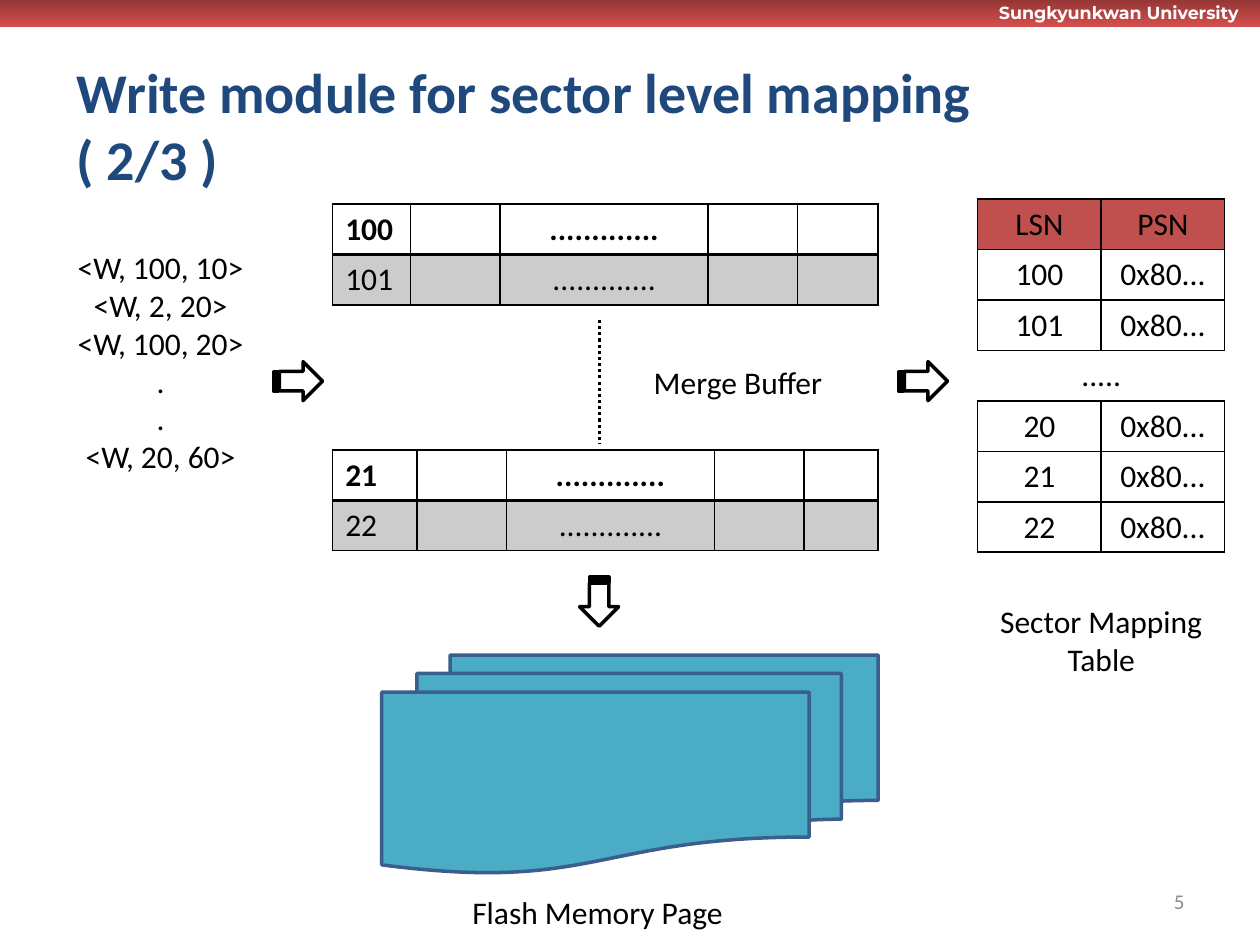
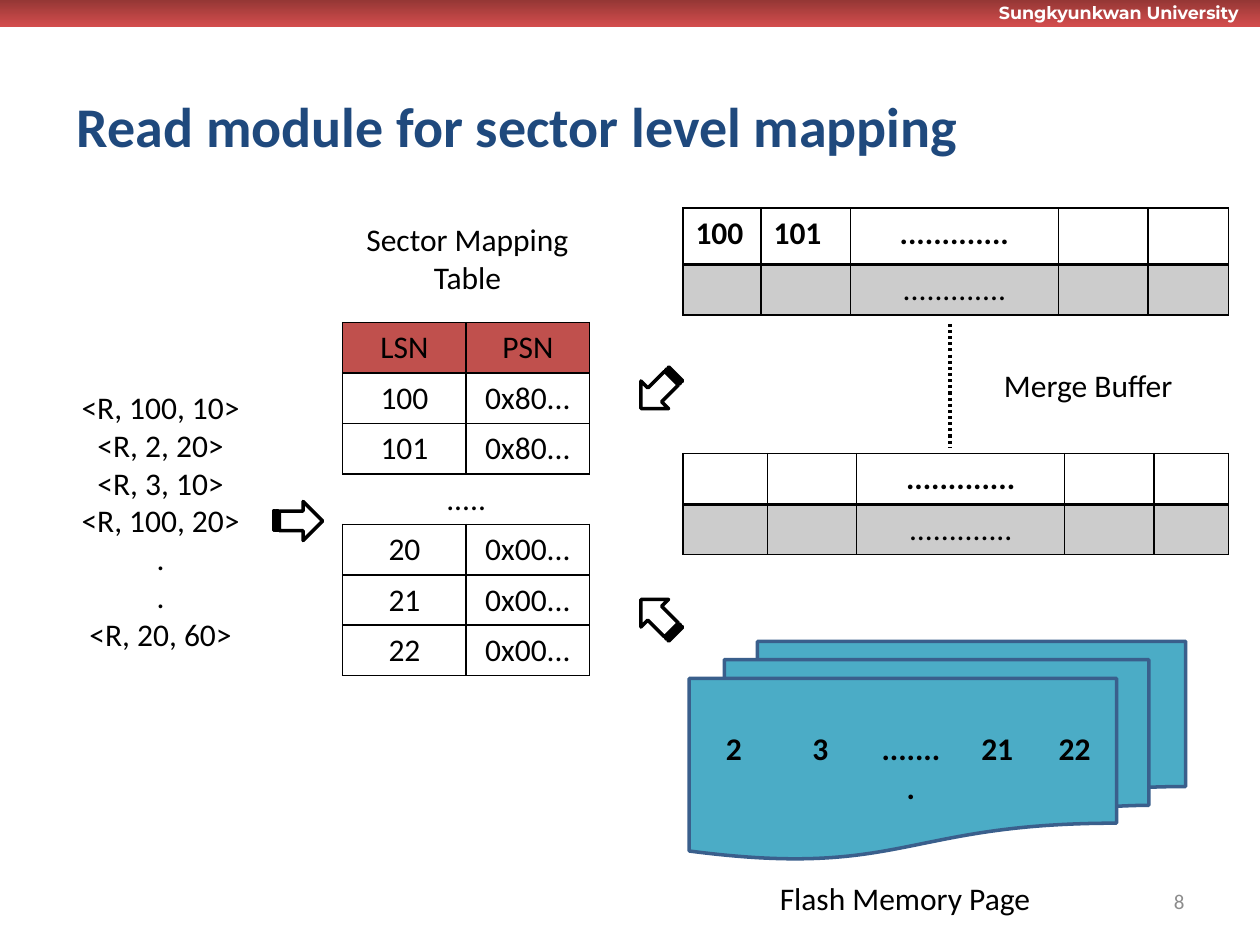
import dataclasses
import typing

import lxml.etree
import pptx
import pptx.dml.color
import pptx.enum.dml
import pptx.enum.shapes
import pptx.enum.text
import pptx.oxml.ns
import pptx.util

Inches = pptx.util.Inches
Pt = pptx.util.Pt
Align = pptx.enum.text.PP_ALIGN
Anchor = pptx.enum.text.MSO_ANCHOR
Shape = pptx.enum.shapes.MSO_SHAPE

COLORS = {
    "band_top": "953735",
    "band_bottom": "D34D4D",
    "title": "1F497D",
    "header": "C0504D",
    "shade": "CCCCCC",
    "page": "4BACC6",
    "page_line": "3A5F8C",
    "number": "8C8C8C",
    "ink": "000000",
    "paper": "FFFFFF",
}
UPPER_COLUMNS = (0.62, 0.71, 1.65, 0.71, 0.64)
LOWER_COLUMNS = (0.67, 0.71, 1.65, 0.71, 0.59)
PAGE_COLUMNS = (0.65, 0.72, 0.72, 0.65, 0.58)
DOTS = "............."
BOXED = {"L": 1, "R": 1, "T": 1, "B": 1}


@dataclasses.dataclass
class Style:
    size: float = 18
    color: str = "ink"
    bold: bool = False
    font: str = "Calibri"
    align: typing.Any = Align.LEFT


@dataclasses.dataclass
class Label:
    text: str
    left: float
    top: float
    width: float
    height: float
    style: Style
    anchor: typing.Any = Anchor.TOP


@dataclasses.dataclass
class Arrow:
    left: float
    top: float
    rotation: float = 0


@dataclasses.dataclass
class MergeBuffer:
    left: float
    top: float
    upper_heights: tuple
    upper: list
    lower: list


@dataclasses.dataclass
class SectorTable:
    left: float
    top: float
    caption_left: float
    caption_top: float
    late_address: str


@dataclasses.dataclass
class Module:
    title: str
    number: str
    requests: Label
    sectors: SectorTable
    buffer: MergeBuffer
    pages_left: float
    pages_top: float
    arrows: list
    page_cells: tuple = ()


PLAIN = Style()
CENTERED = Style(align=Align.CENTER)
STRONG = Style(bold=True)
STRONG_CENTERED = Style(bold=True, align=Align.CENTER)


def rgb(name: str):
    return pptx.dml.color.RGBColor.from_string(COLORS[name])


def write(frame, text: str, style: Style) -> None:
    frame.text = text
    for para in frame.paragraphs:
        para.alignment = style.align
        para.font.size = Pt(style.size)
        for span in para.runs:
            span.font.name = style.font
            span.font.size = Pt(style.size)
            span.font.bold = style.bold
            span.font.color.rgb = rgb(style.color)


def add_label(page, label: Label) -> None:
    box = page.shapes.add_textbox(
        Inches(label.left), Inches(label.top), Inches(label.width), Inches(label.height)
    )
    box.text_frame.word_wrap = False
    box.text_frame.vertical_anchor = label.anchor
    write(box.text_frame, label.text, label.style)


def add_figure(page, kind, left: float, top: float, width: float, height: float,
               fill: str, line: str):
    figure = page.shapes.add_shape(
        kind, Inches(left), Inches(top), Inches(width), Inches(height)
    )
    figure.shadow.inherit = False
    figure.fill.solid()
    figure.fill.fore_color.rgb = rgb(fill)
    figure.line.color.rgb = rgb(line)
    figure.line.width = Pt(2)
    return figure


def add_arrow(page, arrow: Arrow) -> None:
    figure = add_figure(page, Shape.STRIPED_RIGHT_ARROW, arrow.left, arrow.top,
                        0.39, 0.31, "paper", "ink")
    figure.rotation = arrow.rotation


def add_grid(page, left: float, top: float, columns: tuple, heights: tuple):
    grid = page.shapes.add_table(
        len(heights), len(columns), Inches(left), Inches(top),
        Inches(sum(columns)), Inches(sum(heights))
    ).table
    grid.first_row = False
    grid.horz_banding = False
    for column, width in zip(grid.columns, columns):
        column.width = Inches(width)
    for row, height in zip(grid.rows, heights):
        row.height = Inches(height)
    return grid


def set_cell(cell, text: str, style: Style, fill: str, borders: dict) -> None:
    write(cell.text_frame, text, style)
    if fill:
        cell.fill.solid()
        cell.fill.fore_color.rgb = rgb(fill)
    else:
        cell.fill.background()
    qn = pptx.oxml.ns.qn
    properties = cell._tc.get_or_add_tcPr()
    for index, side in enumerate("LRTB"):
        width = borders.get(side, 0)
        edge = lxml.etree.Element(qn(f"a:ln{side}"), w=str(Pt(width)))
        properties.insert(index, edge)
        if width:
            paint = lxml.etree.SubElement(edge, qn("a:solidFill"))
            lxml.etree.SubElement(paint, qn("a:srgbClr"), val=COLORS["ink"])
        else:
            lxml.etree.SubElement(edge, qn("a:noFill"))


def add_buffer_rows(page, left: float, top: float, columns: tuple, heights: tuple,
                    heads: list) -> None:
    grid = add_grid(page, left, top, columns, heights)
    for row, texts in enumerate(heads):
        for column in range(len(columns)):
            text = DOTS if column == 2 else texts.get(column, "")
            style = Style(bold=row == 0, align=Align.CENTER if column == 2 else Align.LEFT)
            borders = {**BOXED, "T" if row else "B": 2}
            set_cell(grid.cell(row, column), text, style, "shade" if row else "", borders)


def add_merge_buffer(page, buffer: MergeBuffer) -> None:
    left, top = buffer.left, buffer.top
    add_buffer_rows(page, left, top, UPPER_COLUMNS, buffer.upper_heights, buffer.upper)
    add_buffer_rows(page, left, top + 1.95, LOWER_COLUMNS, (0.4, 0.4), buffer.lower)
    middle = Inches(left + 2.12)
    dots = page.shapes.add_connector(
        pptx.enum.shapes.MSO_CONNECTOR.STRAIGHT,
        middle, Inches(top + 0.92), middle, Inches(top + 1.9)
    )
    dots.line.color.rgb = rgb("ink")
    dots.line.width = Pt(1.75)
    dots.line.dash_style = pptx.enum.dml.MSO_LINE.ROUND_DOT
    lxml.etree.SubElement(dots._element.spPr, pptx.oxml.ns.qn("a:effectLst"))
    add_label(page, Label("Merge Buffer", left + 2.45, top + 1.21, 1.56, 0.4, PLAIN))


def add_sector_table(page, sectors: SectorTable) -> None:
    late = sectors.late_address
    rows = [("LSN", "PSN"), ("100", "0x80..."), ("101", "0x80..."), (".....", ""),
            ("20", late), ("21", late), ("22", late)]
    grid = add_grid(page, sectors.left, sectors.top, (0.98, 0.98), (0.4,) * len(rows))
    for row, texts in enumerate(rows):
        gap = not texts[1]
        for column, text in enumerate(texts):
            set_cell(grid.cell(row, column), text, CENTERED, "" if row else "header",
                     {"T": 1, "B": 1} if gap else BOXED)
        if gap:
            grid.cell(row, 0).merge(grid.cell(row, 1))
    add_label(page, Label("Sector Mapping\nTable", sectors.caption_left,
                          sectors.caption_top, 1.82, 0.71, CENTERED))


def add_flash_pages(page, left: float, top: float, texts: tuple) -> None:
    add_figure(page, Shape.FLOWCHART_MULTIDOCUMENT, left, top, 3.94, 1.73,
               "page", "page_line")
    if texts:
        grid = add_grid(page, left + 0.03, top + 0.66, PAGE_COLUMNS, (0.7,))
        for column, text in enumerate(texts):
            set_cell(grid.cell(0, column), text, STRONG_CENTERED, "", {})
    add_label(page, Label("Flash Memory Page", left + 0.62, top + 1.84, 2.21, 0.4, PLAIN))


def add_frame(page, title: str, number: str) -> None:
    band = add_figure(page, Shape.RECTANGLE, 0, 0, 10, 0.21, "band_top", "band_top")
    band.line.fill.background()
    band.fill.gradient()
    band.fill.gradient_angle = 270
    for stop, name in zip(band.fill.gradient_stops, ("band_top", "band_bottom")):
        stop.color.rgb = rgb(name)
    add_label(page, Label("Sungkyunkwan University", 7.83, -0.03, 2.19, 0.27,
                          Style(10, "paper", True, "Montserrat")))
    heading = page.shapes.title
    heading.left, heading.top = Inches(0.51), Inches(0.52)
    heading.width, heading.height = Inches(8.45), Inches(0.94)
    heading.text_frame.auto_size = pptx.enum.text.MSO_AUTO_SIZE.NONE
    heading.text_frame.vertical_anchor = Anchor.MIDDLE
    write(heading.text_frame, title, Style(32, "title", True))
    add_label(page, Label(number, 7.17, 6.95, 2.33, 0.4,
                          Style(12, "number", align=Align.RIGHT), Anchor.MIDDLE))


def add_module(deck, module: Module) -> None:
    page = deck.slides.add_slide(deck.slide_layouts[5])
    add_frame(page, module.title, module.number)
    add_label(page, module.requests)
    add_sector_table(page, module.sectors)
    add_merge_buffer(page, module.buffer)
    add_flash_pages(page, module.pages_left, module.pages_top, module.page_cells)
    for arrow in module.arrows:
        add_arrow(page, arrow)


MODULES = [
    Module(
        "Write module for sector level mapping ( 2/3 )", "5",
        Label("<W, 100, 10>\n<W, 2, 20>\n<W, 100, 20>\n.\n.\n<W, 20, 60>",
              0.51, 1.92, 1.53, 1.92, CENTERED),
        SectorTable(7.76, 1.58, 7.83, 4.73, "0x80..."),
        MergeBuffer(2.64, 1.62, (0.4, 0.4), [{0: "100"}, {0: "101"}],
                    [{0: "21"}, {0: "22"}]),
        3.03, 5.2,
        [Arrow(2.17, 2.87), Arrow(7.13, 2.87), Arrow(4.56, 4.62, 90)],
    ),
    Module(
        "Read module for sector level mapping", "8",
        Label("<R, 100, 10>\n<R, 2, 20>\n<R, 3, 10>\n<R, 100, 20>\n.\n.\n<R, 20, 60>",
              0.54, 3.03, 1.47, 2.22, CENTERED),
        SectorTable(2.72, 2.56, 2.8, 1.7, "0x00..."),
        MergeBuffer(5.42, 1.65, (0.45, 0.4), [{0: "100", 1: "101"}, {}], [{}, {}]),
        5.47, 5.09,
        [Arrow(2.17, 3.98), Arrow(5.03, 2.95, 135), Arrow(5.03, 4.74, 225)],
        ("2", "3", "........", "21", "22"),
    ),
]


def main() -> None:
    deck = pptx.Presentation()
    deck.slide_width, deck.slide_height = Inches(10), Inches(7.5)
    for module in MODULES:
        add_module(deck, module)
    deck.save("out.pptx")


if __name__ == "__main__":
    main()
